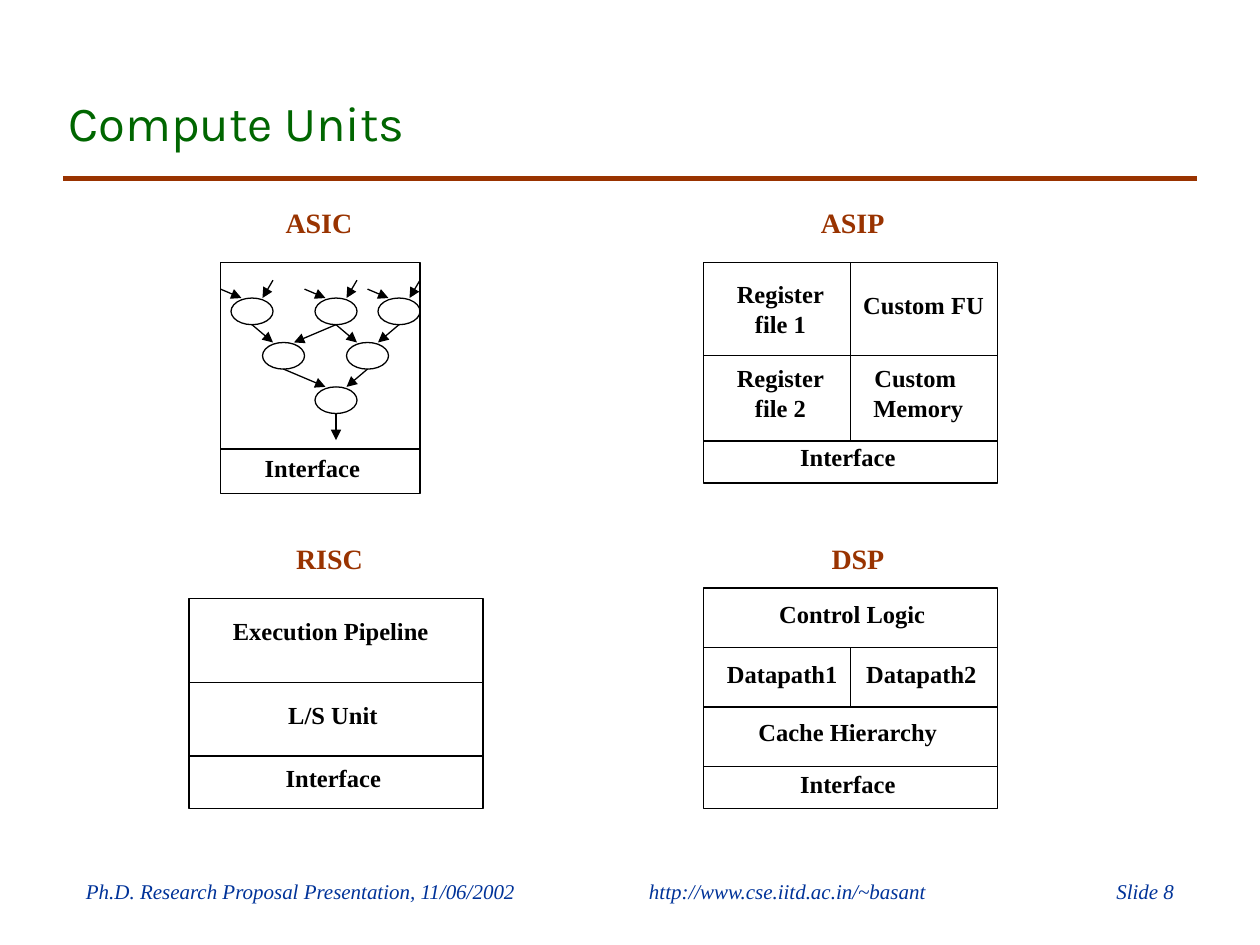
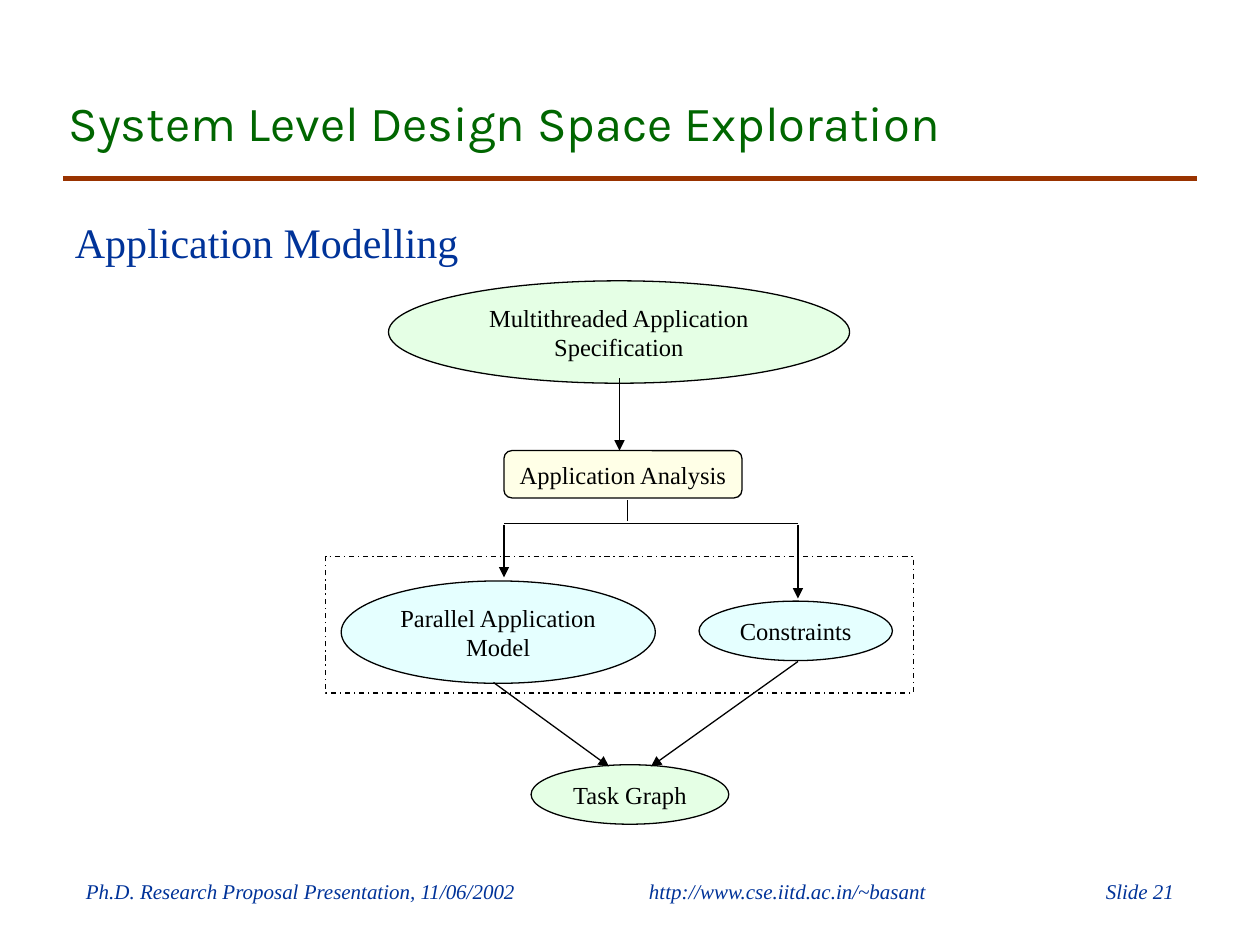
from dataclasses import dataclass
from lxml.etree import SubElement
from pptx import Presentation
from pptx.dml.color import RGBColor
from pptx.enum.dml import MSO_LINE
from pptx.enum.shapes import MSO_CONNECTOR, MSO_SHAPE
from pptx.enum.text import MSO_ANCHOR, MSO_AUTO_SIZE, PP_ALIGN
from pptx.oxml.ns import qn
from pptx.util import Pt


@dataclass(frozen=True)
class Theme:
    heading_font: str = "Karla"
    text_font: str = "Times New Roman"
    green: str = "006600"
    brown: str = "993300"
    blue: str = "003399"
    black: str = "000000"
    mint: str = "CCFFCC"
    aqua: str = "CCFFFF"
    cream: str = "FFFFD1"
    title: float = 28
    subtitle: float = 24
    unit: float = 16
    label: float = 14
    footer: float = 12
    hairline: float = 0.75
    rule: float = 3


THEME = Theme()


def write(frame, text, size, color, align=PP_ALIGN.CENTER, anchor=MSO_ANCHOR.MIDDLE,
          wrap=False, font=THEME.text_font, bold=False, italic=False):
    frame.auto_size = MSO_AUTO_SIZE.NONE
    frame.word_wrap = wrap
    frame.vertical_anchor = anchor
    for index, line in enumerate(text.split("\n")):
        paragraph = frame.add_paragraph() if index else frame.paragraphs[0]
        paragraph.alignment = align
        run = paragraph.add_run()
        run.text = line
        run.font.name = font
        run.font.size = Pt(size)
        run.font.bold = bold
        run.font.italic = italic
        run.font.color.rgb = RGBColor.from_string(color)


def add_text(slide, box, text, size, color, **style):
    area = slide.shapes.add_textbox(*map(Pt, box))
    write(area.text_frame, text, size, color, **style)


def add_outline(slide, kind, box, fill=None):
    outline = slide.shapes.add_shape(kind, *map(Pt, box))
    outline.shadow.inherit = False
    outline.line.color.rgb = RGBColor.from_string(THEME.black)
    outline.line.width = Pt(THEME.hairline)
    if fill:
        outline.fill.solid()
        outline.fill.fore_color.rgb = RGBColor.from_string(fill)
        tint = outline._element.spPr.find(qn("a:solidFill"))[0]
        SubElement(tint, qn("a:alpha"), val="50000")
    else:
        outline.fill.background()
    return outline


def add_line(slide, start, end, color=THEME.black, width=THEME.hairline, arrow=False):
    line = slide.shapes.add_connector(MSO_CONNECTOR.STRAIGHT, *map(Pt, (*start, *end)))
    line.line.color.rgb = RGBColor.from_string(color)
    line.line.width = Pt(width)
    properties = line._element.spPr
    if arrow:
        SubElement(properties.find(qn("a:ln")), qn("a:tailEnd"), type="triangle")
    SubElement(properties, qn("a:effectLst"))
    return line


def add_slide(deck, title, number):
    slide = deck.slides.add_slide(deck.slide_layouts[5])
    heading = slide.shapes.title
    heading.left, heading.top, heading.width, heading.height = map(Pt, (32, 18, 612, 72))
    write(heading.text_frame, title, THEME.title, THEME.green, align=PP_ALIGN.LEFT,
          anchor=MSO_ANCHOR.BOTTOM, wrap=True, font=THEME.heading_font)
    add_line(slide, (36, 102), (684, 102), THEME.brown, THEME.rule)
    footers = (
        (42, 270, "Ph.D. Research Proposal Presentation, 11/06/2002", PP_ALIGN.LEFT),
        (354, 192, "http://www.cse.iitd.ac.in/~basant", PP_ALIGN.CENTER),
        (594, 84, f"Slide {number}", PP_ALIGN.RIGHT),
    )
    for left, width, text, align in footers:
        add_text(slide, (left, 498, width, 22), text, THEME.footer, THEME.blue,
                 align=align, wrap=True, italic=True)
    return slide


def add_unit(slide, box, name, name_box, rows, labels):
    left, top, width, height = box
    x, y, name_width = name_box
    add_text(slide, (left + x, top + y, name_width, 26.5), name,
             THEME.unit, THEME.brown, bold=True)
    frame = add_outline(slide, MSO_SHAPE.RECTANGLE, box)
    for row in rows:
        add_line(slide, (left, top + row), (left + width, top + row))
    for text, x, y, label_width in labels:
        label_height = 41 if "\n" in text else 24.5
        add_text(slide, (left + x, top + y, label_width, label_height), text,
                 THEME.label, THEME.black, bold=True)
    return frame


def add_operation_graph(slide, box):
    left, top, width, height = box
    column, row = width / 19, height / 26

    def spot(x, y):
        return left + x * column, top + y * row

    for x, y in ((1, 4), (9, 4), (15, 4), (4, 9), (12, 9), (9, 14)):
        add_outline(slide, MSO_SHAPE.OVAL, (*spot(x, y), 4 * column, 3 * row))
    flows = (
        (0, 3, 2, 4), (5, 2, 4, 4), (8, 3, 10, 4), (13, 2, 12, 4),
        (14, 3, 16, 4), (19, 2, 18, 4), (3, 7, 5, 9), (11, 7, 7, 9),
        (11, 7, 13, 9), (17, 7, 15, 9), (6, 12, 10, 14), (14, 12, 12, 14),
        (11, 17, 11, 20),
    )
    for x1, y1, x2, y2 in flows:
        add_line(slide, spot(x1, y1), spot(x2, y2), arrow=True)


def add_asic(slide, box):
    add_unit(slide, box, "ASIC", (30, -36, 52.5), (box[3] * 21 / 26,),
             (("Interface", 18, 105, 69),))
    add_operation_graph(slide, box)


def add_asip(slide, box):
    left, top, width, height = box
    frame = add_unit(slide, box, "ASIP", (60, -36, 50.5), (53, 102), (
        ("Interface", 48, 99, 69),
        ("Custom FU", 84, 12, 83.5),
        ("Custom \nMemory", 90, 54, 65.5),
        ("Register\nfile 1", 12, 6, 64),
        ("Register\nfile 2", 12, 54, 64),
    ))
    middle = left + width / 2
    add_line(slide, (middle, top), (middle, top + 102)).begin_connect(frame, 0)


def add_risc(slide, box):
    add_unit(slide, box, "RISC", (54, -36, 52.5), (48, 90), (
        ("Execution Pipeline", 18, 6, 126),
        ("L/S Unit", 49.5, 54, 65.5),
        ("Interface", 48, 90, 69),
    ))


def add_dsp(slide, box):
    left, top, width, height = box
    add_unit(slide, box, "DSP", (66, -30, 44.5), (34, 68, 102), (
        ("Control Logic", 36, 2.5, 98),
        ("Datapath1", 6, 36.5, 78),
        ("Datapath2", 85.5, 36.5, 78),
        ("Cache Hierarchy", 24, 70, 117),
        ("Interface", 48, 99.5, 69),
    ))
    middle = left + width / 2
    add_line(slide, (middle, top + 34), (middle, top + 68))


def add_modelling_flow(slide, origin):
    left, top = origin
    oval = MSO_SHAPE.OVAL
    steps = (
        (oval, "Parallel Application\nModel", THEME.aqua, 9, 171.5, 179.5, 58.5),
        (oval, "Constraints", THEME.aqua, 213.5, 183, 110.5, 34),
        (oval, "Task Graph", THEME.mint, 117.5, 276.5, 113, 34),
        (oval, "Multithreaded Application\nSpecification", THEME.mint, 36, 0, 263.5, 58.5),
        (MSO_SHAPE.ROUNDED_RECTANGLE, "Application Analysis", THEME.cream, 102, 97, 136, 27),
    )
    for kind, text, fill, x, y, width, height in steps:
        step = add_outline(slide, kind, (left + x, top + y, width, height), fill)
        write(step.text_frame, text, THEME.label, THEME.black)
    model = add_outline(slide, MSO_SHAPE.RECTANGLE, (left, top + 157.5, 336, 78))
    model.line.dash_style = MSO_LINE.DASH_DOT
    links = (
        (168, 55.5, 168, 97, True),
        (172.5, 125.5, 172.5, 137.5, False),
        (102, 138.5, 270, 138.5, False),
        (102, 139.5, 102, 169.5, True),
        (270, 139.5, 270, 181.5, True),
        (96, 229.5, 162, 277.5, True),
        (270, 217.5, 186, 277.5, True),
    )
    for x1, y1, x2, y2, arrow in links:
        add_line(slide, (left + x1, top + y1), (left + x2, top + y2), arrow=arrow)


def build_compute_units(deck):
    slide = add_slide(deck, "Compute Units", 8)
    add_asic(slide, (126, 150, 114, 132))
    add_asip(slide, (402, 150, 168, 126))
    add_dsp(slide, (402, 336, 168, 126))
    add_risc(slide, (108, 342, 168, 120))


def build_exploration(deck):
    slide = add_slide(deck, "System Level Design Space Exploration", 21)
    add_text(slide, (36, 120, 233, 36), "Application Modelling", THEME.subtitle, THEME.blue)
    add_modelling_flow(slide, (186, 160.5))


def main():
    deck = Presentation()
    deck.slide_width, deck.slide_height = Pt(720), Pt(540)
    build_compute_units(deck)
    build_exploration(deck)
    deck.save("out.pptx")


if __name__ == "__main__":
    main()
